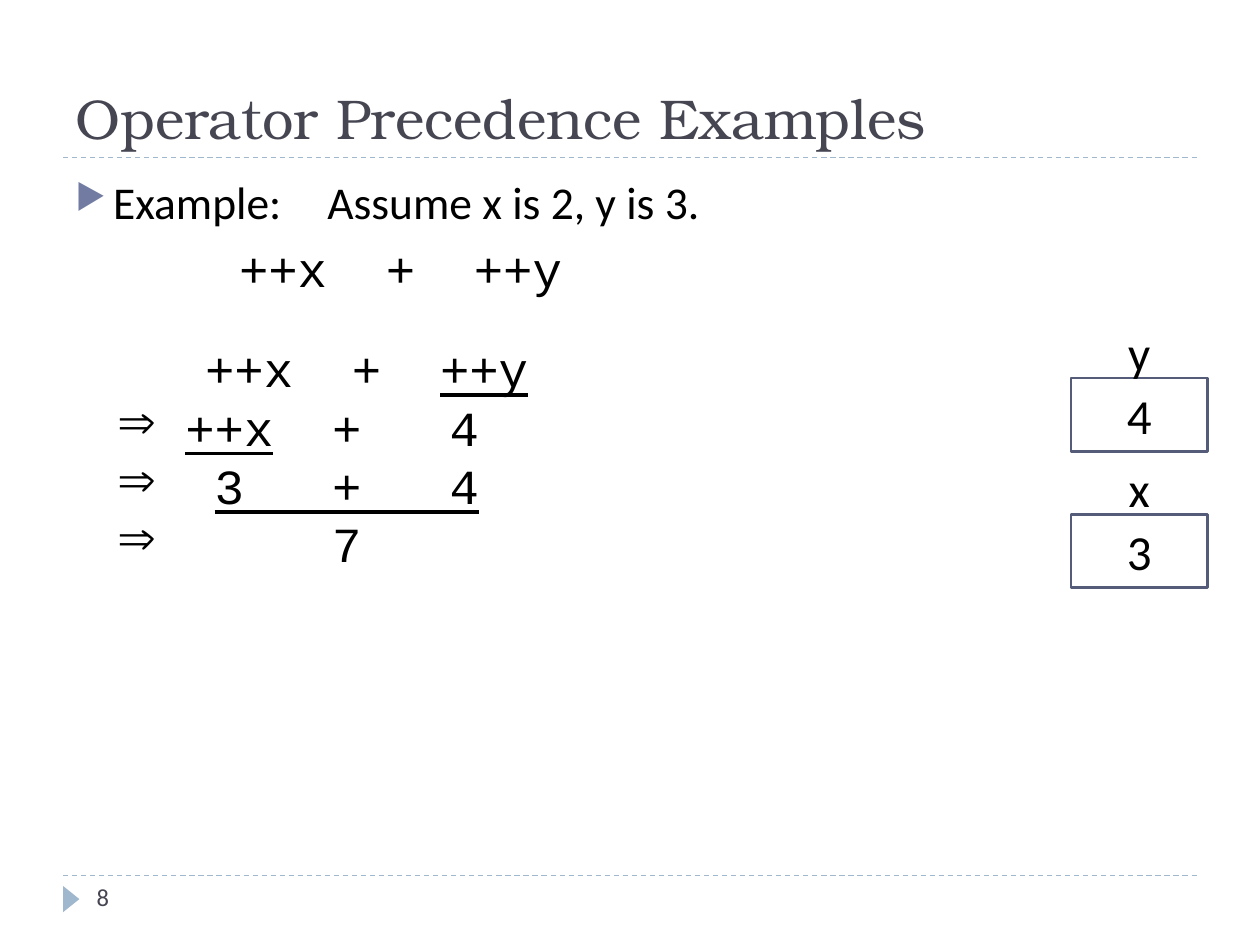
from lxml import etree
from pptx import Presentation
from pptx.dml.color import RGBColor
from pptx.enum.dml import MSO_LINE
from pptx.enum.shapes import MSO_CONNECTOR, MSO_SHAPE
from pptx.enum.text import MSO_ANCHOR, PP_ALIGN
from pptx.oxml.ns import qn
from pptx.util import Cm, Pt

TOP, MIDDLE, BOTTOM = MSO_ANCHOR.TOP, MSO_ANCHOR.MIDDLE, MSO_ANCHOR.BOTTOM
CENTER, LEFT = PP_ALIGN.CENTER, PP_ALIGN.LEFT
STRAIGHT, DASH = MSO_CONNECTOR.STRAIGHT, MSO_LINE.DASH
RECT, TRIANGLE = MSO_SHAPE.RECTANGLE, MSO_SHAPE.ISOSCELES_TRIANGLE


def color(value):
    return RGBColor.from_string(value)


def set_font(target, name, size, value):
    f = target.font
    f.name, f.size, f.color.rgb = name, Pt(size), color(value)


class SlideBuilder:
    SERIF, SANS, MONO = "TeX Gyre Bonum", "Calibri", "Courier New"
    INK, TITLE, ACCENT, BOX, BULLET = "000000", "464653", "9FB8CD", "545C79", "727CA3"

    def __init__(self, prs):
        self.s = prs.slides.add_slide(prs.slide_layouts[5])

    def title(self, text, x, y, w, h):
        sp = self.s.shapes.title
        sp.left, sp.top, sp.width, sp.height = Cm(x), Cm(y), Cm(w), Cm(h)
        tf = sp.text_frame
        tf.text, tf.vertical_anchor = text, BOTTOM
        p = tf.paragraphs[0]
        p.alignment = LEFT
        set_font(p, self.SERIF, 32, self.TITLE)

    def rule(self, y):
        line = self.s.shapes.add_connector(STRAIGHT, Cm(1.27), Cm(y), Cm(24.13), Cm(y))
        line.line.color.rgb = color(self.ACCENT)
        line.line.width, line.line.dash_style = Pt(0.75), DASH
        etree.SubElement(line._element.spPr, qn("a:effectLst"))

    def marker(self, x, y, w, h):
        sp = self.s.shapes.add_shape(TRIANGLE, Cm(x), Cm(y), Cm(w), Cm(h))
        sp.rotation, sp.shadow.inherit = 90, False
        sp.fill.solid()
        sp.fill.fore_color.rgb = color(self.ACCENT)
        sp.line.fill.background()

    def text_box(self, x, y, w, h, anchor=TOP):
        tf = self.s.shapes.add_textbox(Cm(x), Cm(y), Cm(w), Cm(h)).text_frame
        tf.word_wrap, tf.vertical_anchor = True, anchor
        return tf

    def label(self, text, x, y, w, h, size=28, value=INK, anchor=MIDDLE, align=CENTER):
        tf = self.text_box(x, y, w, h, anchor)
        tf.text = text
        p = tf.paragraphs[0]
        p.alignment = align
        set_font(p, self.SANS, size, value)

    def variable(self, name, value, x, y, w, h):
        """Draw a memory cell with its name above it."""
        sp = self.s.shapes.add_shape(RECT, Cm(x), Cm(y), Cm(w), Cm(h))
        sp.shadow.inherit = False
        sp.fill.background()
        sp.line.color.rgb, sp.line.width = color(self.BOX), Pt(1.5)
        tf = sp.text_frame
        tf.text, tf.vertical_anchor = value, MIDDLE
        p = tf.paragraphs[0]
        p.alignment = CENTER
        set_font(p, self.SANS, 28, self.INK)
        self.label(name, x, y - 1.27, w, h)

    def bullet(self, p, char, hang, value, size=100, font=None, tab=None):
        pPr = p._p.get_or_add_pPr()
        pPr.set("marL", str(Cm(hang)))
        pPr.set("indent", str(-Cm(hang)))
        clr = etree.SubElement(pPr, qn("a:buClr"))
        etree.SubElement(clr, qn("a:srgbClr"), val=value)
        etree.SubElement(pPr, qn("a:buSzPct"), val=str(size * 1000))
        if font:
            etree.SubElement(pPr, qn("a:buFont"), typeface=font)
        etree.SubElement(pPr, qn("a:buChar"), char=char)
        if tab:
            tabs = etree.SubElement(pPr, qn("a:tabLst"))
            etree.SubElement(tabs, qn("a:tab"), pos=str(Cm(tab)), algn="l")

    def example(self, intro, code, x, y, w, h):
        tf = self.text_box(x, y, w, h)
        p = tf.paragraphs[0]
        p.text = intro
        self.bullet(p, "▶", 0.76, self.BULLET, size=76, tab=5.08)
        set_font(p, self.SANS, 26, self.INK)
        p = tf.add_paragraph()
        p.text, p.space_before = code, Pt(6)
        p._p.get_or_add_pPr().set("marL", str(Cm(3.3)))
        set_font(p, self.MONO, 28, self.INK)

    def derivation(self, steps, x, y, w, h):
        """Each step is (text before, underlined text, text after)."""
        tf = self.text_box(x, y, w, h, MIDDLE)
        for i, step in enumerate(steps):
            p = tf.add_paragraph() if i else tf.paragraphs[0]
            p.line_spacing = Pt(33.4)
            if i:
                self.bullet(p, "⇒", 0.73, self.INK, font="Symbol")
            for text, underlined in zip(step, (False, True, False)):
                if text:
                    r = p.add_run()
                    r.text = text
                    if underlined:
                        r.font.underline = True
            set_font(p, self.MONO, 28, self.INK)


def main():
    prs = Presentation()
    prs.slide_width, prs.slide_height = Cm(25.4), Cm(19.05)
    b = SlideBuilder(prs)
    for y in (17.65, 3.18):
        b.rule(y)
    b.marker(1.17, 17.96, 0.53, 0.33)
    b.title("Operator Precedence Examples", 1.27, 0.43, 22.86, 2.74)
    b.example("Example:\tAssume x is 2, y is 3.", "++x  +  ++y", 1.27, 3.38, 22.86, 13.72)
    b.derivation([
        ("   ++x  +  ", "++y", ""),
        (" ", "++x", "  +   4"),
        ("  ", "3   +   4", ""),
        ("      7", "", ""),
    ], 2.11, 6.55, 9.32, 5.28)
    for i, (name, value) in enumerate((("y", "4"), ("x", "3"))):
        b.variable(name, value, 21.59, 7.62 + i * 2.75, 2.75, 1.48)
    b.label("8", 1.7, 17.65, 5.5, 1.02, size=14, value=b.TITLE, anchor=TOP, align=LEFT)
    prs.save("out.pptx")


if __name__ == "__main__":
    main()
